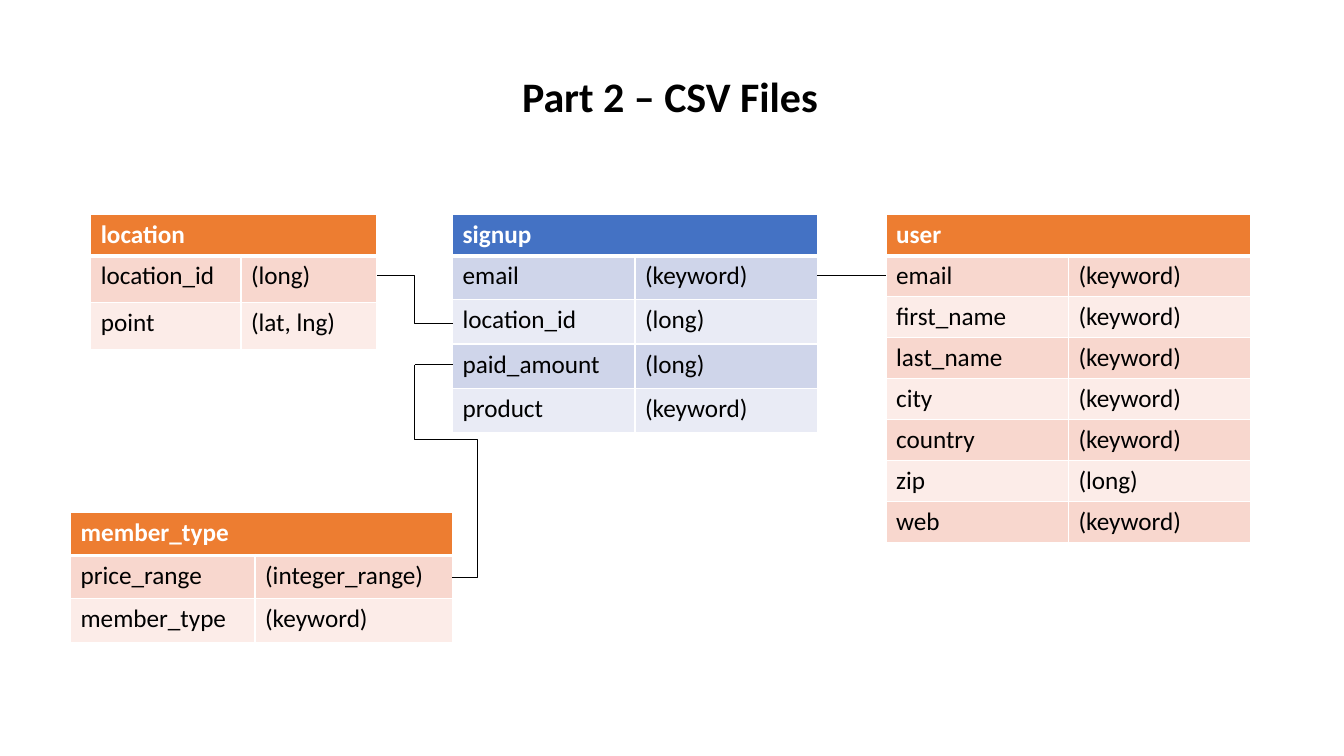
from dataclasses import dataclass

from lxml import etree
from pptx import Presentation
from pptx.dml.color import RGBColor as RGB
from pptx.enum.shapes import MSO_CONNECTOR as LinkKind
from pptx.enum.text import MSO_AUTO_SIZE as AutoSize
from pptx.oxml import parse_xml
from pptx.oxml.ns import nsdecls, qn
from pptx.util import Pt


@dataclass(frozen=True)
class Theme:
    font: str = "Calibri"
    title_size: float = 30
    table_size: float = 18
    black: str = "000000"
    white: str = "FFFFFF"
    # Header fill, then the two alternating row fills
    orange: tuple = ("ED7D31", "F8D7CE", "FCECE8")
    blue: tuple = ("4472C4", "CFD5EA", "E9EBF5")
    rule: float = 1
    header_rule: float = 3
    link_width: float = 0.5


class SlideBuilder:
    def __init__(self, page, theme):
        self.page = page
        self.theme = theme

    def style(self, para, size, color, bold=False):
        para.font.name = self.theme.font
        para.font.size = Pt(size)
        para.font.bold = bold
        para.font.color.rgb = RGB.from_string(color)

    def title(self, text, left, top, width, height):
        box = self.page.shapes.add_textbox(Pt(left), Pt(top), Pt(width), Pt(height))
        frame = box.text_frame
        frame.word_wrap = False
        frame.auto_size = AutoSize.SHAPE_TO_FIT_TEXT
        para = frame.paragraphs[0]
        para.text = text
        self.style(para, self.theme.title_size, self.theme.black, bold=True)

    def borders(self, cell, top, bottom):
        rule = self.theme.rule
        widths = {"lnL": rule, "lnR": rule, "lnT": top, "lnB": bottom}
        properties = cell._tc.get_or_add_tcPr()
        for index, (side, width) in enumerate(widths.items()):
            properties.insert(index, parse_xml(
                f'<a:{side} {nsdecls("a")} w="{Pt(width)}"><a:solidFill>'
                f'<a:srgbClr val="{self.theme.white}"/></a:solidFill></a:{side}>'))

    def entity(self, name, fields, palette, left, top, widths, header_height, row_height):
        theme = self.theme
        rows = [(name, "")] + fields
        heights = [header_height] + [row_height] * len(fields)
        table = self.page.shapes.add_table(
            len(rows), 2, Pt(left), Pt(top), Pt(sum(widths)), Pt(sum(heights))).table
        table.horz_banding = False
        for column, width in zip(table.columns, widths):
            column.width = Pt(width)
        table.cell(0, 0).merge(table.cell(0, 1))
        for i, (values, height) in enumerate(zip(rows, heights)):
            table.rows[i].height = Pt(height)
            header = i == 0
            fill = palette[0] if header else palette[2 - i % 2]
            for j, value in enumerate(values):
                cell = table.cell(i, j)
                cell.fill.solid()
                cell.fill.fore_color.rgb = RGB.from_string(fill)
                para = cell.text_frame.paragraphs[0]
                if value:
                    para.text = value
                self.style(para, theme.table_size,
                           theme.white if header else theme.black, header)
                self.borders(cell,
                             top=theme.header_rule if i == 1 else theme.rule,
                             bottom=theme.header_rule if header else theme.rule)

    def link(self, start, end, kind=LinkKind.STRAIGHT, preset=None, bends=()):
        line = self.page.shapes.add_connector(kind, *map(Pt, start + end))
        line.line.color.rgb = RGB.from_string(self.theme.black)
        line.line.width = Pt(self.theme.link_width)
        properties = line._element.spPr
        etree.SubElement(properties, qn("a:effectLst"))
        if preset:
            geometry = properties.find(qn("a:prstGeom"))
            geometry.set("prst", preset)
            guides = geometry.find(qn("a:avLst"))
            for number, bend in enumerate(bends, 1):
                etree.SubElement(guides, qn("a:gd"), name=f"adj{number}",
                                 fmla=f"val {round(bend * 100000)}")


deck = Presentation()
deck.slide_width, deck.slide_height = Pt(960), Pt(540)
theme = Theme()
slide = SlideBuilder(deck.slides.add_slide(deck.slide_layouts[6]), theme)

# Tables: the two dimension tables on the left, users on the right, signups between
TOP = 153.4
LOCATION_X, MEMBER_X, SIGNUP_X, USER_X = 64.8, 50.4, 323.3, 632.9
LOCATION_COLS, MEMBER_COLS, WIDE_COLS = (107.3, 97.2), (131.8, 140.9), (130.3, 130.3)

slide.entity("location", [("location_id", "(long)"), ("point", "(lat, lng)")],
             theme.orange, LOCATION_X, TOP, LOCATION_COLS, 29.2, 33.6)
slide.entity("member_type",
             [("price_range", "(integer_range)"), ("member_type", "(keyword)")],
             theme.orange, MEMBER_X, 365.8, MEMBER_COLS, 31, 31)
slide.entity("user",
             [("email", "(keyword)"), ("first_name", "(keyword)"),
              ("last_name", "(keyword)"), ("city", "(keyword)"),
              ("country", "(keyword)"), ("zip", "(long)"), ("web", "(keyword)")],
             theme.orange, USER_X, TOP, WIDE_COLS, 29.25, 29.25)
slide.entity("signup",
             [("email", "(keyword)"), ("location_id", "(long)"),
              ("paid_amount", "(long)"), ("product", "(keyword)")],
             theme.blue, SIGNUP_X, TOP, WIDE_COLS, 29.2, 31.6)

# Title
slide.title("Part 2 – CSV Files", 365.8, 46.8, 228.2, 43.9)

# Links between matching fields
FIRST_ROW_Y, PAID_Y = 196.6, 260.6
BEND_X = 296.2
slide.link((LOCATION_X + sum(LOCATION_COLS), FIRST_ROW_Y), (SIGNUP_X, 231.3), LinkKind.ELBOW)
slide.link((MEMBER_X + sum(MEMBER_COLS), 412.6), (BEND_X, PAID_Y),
           LinkKind.ELBOW, "bentConnector4", (-0.66, 0.65))
slide.link((BEND_X, PAID_Y), (SIGNUP_X, PAID_Y))
slide.link((SIGNUP_X + sum(WIDE_COLS), FIRST_ROW_Y), (USER_X, FIRST_ROW_Y))

deck.save("out.pptx")
